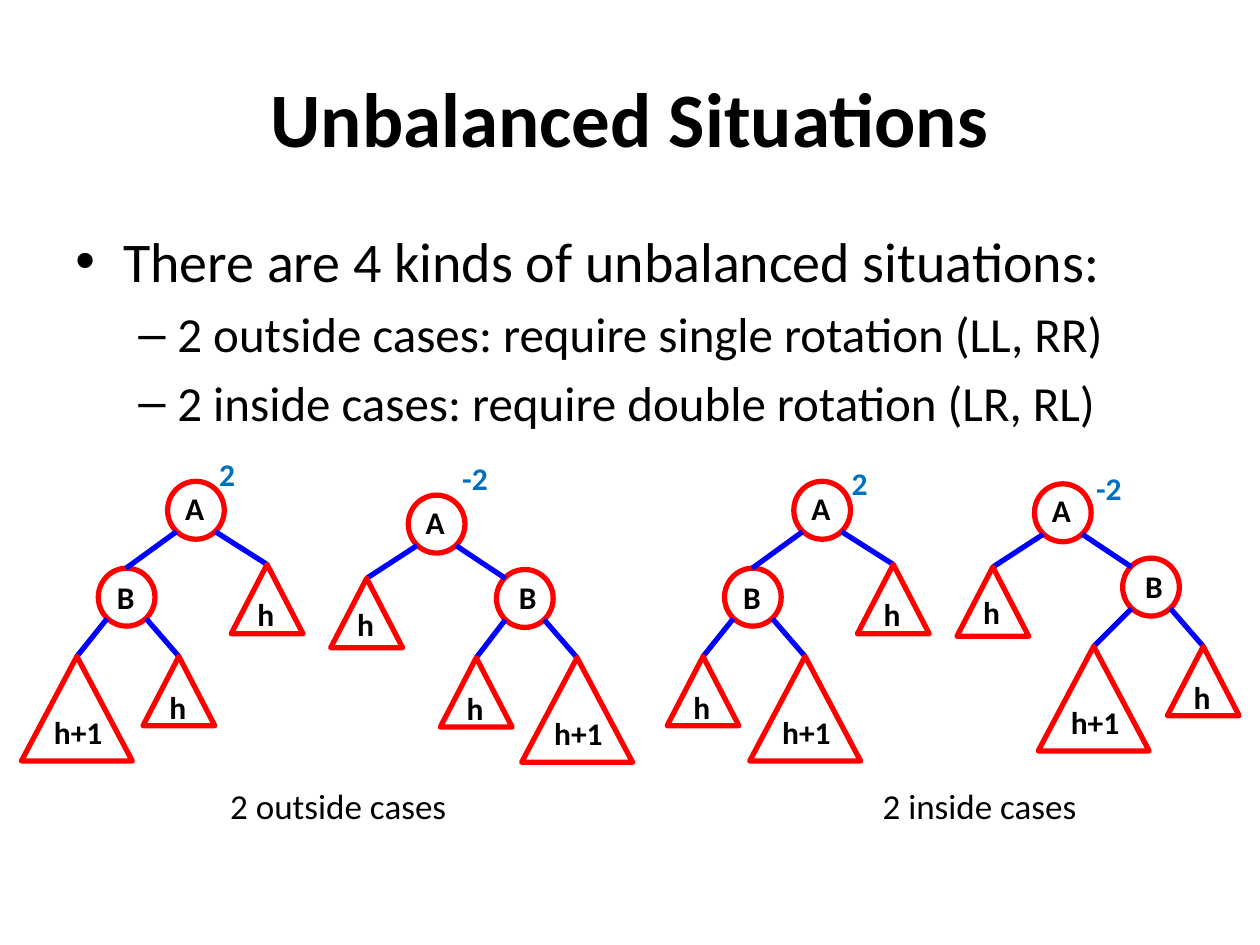
from dataclasses import dataclass

from lxml.etree import SubElement
from pptx import Presentation
from pptx.dml.color import RGBColor
from pptx.enum.shapes import MSO_CONNECTOR, MSO_SHAPE
from pptx.enum.text import MSO_ANCHOR, MSO_AUTO_SIZE, PP_ALIGN
from pptx.oxml.ns import qn
from pptx.util import Inches, Pt

BLACK, RED, BLUE, BALANCE_BLUE = "000000", "FF0000", "0000FF", "0070C0"
NODE = (0.45, 0.46)
SMALL, BIG = (0.57, 0.55), (0.88, 0.83)
EDGE_START = {"left": (0.07, 0.4), "right": (0.38, 0.4)}
LABEL = {"size": Pt(18), "bold": True}


@dataclass(frozen=True)
class Side:
    """Places measured from the root node, for trees heavy on one side."""
    child: tuple[float, float]
    child_edge_end: tuple[float, float]
    child_label: tuple[float, float]
    sibling_apex: tuple[float, float]
    sibling_label_drop: float
    sibling_edge: str
    child_edge: str


@dataclass(frozen=True)
class Tree:
    root: tuple[float, float]
    side: Side
    left_reach: float
    big_subtree: str
    balance: str
    balance_at: tuple[float, float]


@dataclass(frozen=True)
class Bullet:
    text: str
    level: int
    size: int
    mark: str
    margin: float
    indent: float


LEFT_HEAVY = Side((-0.55, 0.69), (0.22, 0), (0.05, -0.07), (0.79, 0.66), 0.09, "right", "left")
RIGHT_HEAVY = Side((0.7, 0.59), (0.07, 0.07), (0.08, -0.08), (-0.33, 0.66), 0.06, "left", "right")

TREES = [
    Tree((1.33, 3.82), LEFT_HEAVY, -0.17, "left", "2", (1.64, 3.46)),
    Tree((3.24, 3.93), RIGHT_HEAVY, -0.16, "right", "-2", (3.57, 3.49)),
    Tree((6.3, 3.82), LEFT_HEAVY, -0.17, "right", "2", (6.66, 3.53)),
    Tree((8.21, 3.84), RIGHT_HEAVY, -0.23, "left", "-2", (8.6, 3.57)),
]
BULLETS = [
    Bullet("There are 4 kinds of unbalanced situations:", 0, 32, "•", 0.38, -0.38),
    Bullet("2 outside cases: require single rotation (LL, RR)", 1, 28, "–", 0.81, -0.31),
    Bullet("2 inside cases: require double rotation (LR, RL)", 1, 28, "–", 0.81, -0.31),
]


def colour(value: str) -> RGBColor:
    return RGBColor.from_string(value)


def shift(point: tuple, offset: tuple) -> tuple:
    return point[0] + offset[0], point[1] + offset[1]


def set_font(run, values: dict, font_colour: str = BLACK) -> None:
    for name, value in {"name": "Calibri", **values}.items():
        setattr(run.font, name, value)
    run.font.color.rgb = colour(font_colour)


def add_text(shapes, text: str, at: tuple, size: tuple, font: dict,
             font_colour: str = BLACK, alignment=PP_ALIGN.LEFT, **frame_values):
    """Add a text box; label insets and growth are the usual frame values."""
    box = shapes.add_textbox(*map(Inches, (*at, *size)))
    frame_format = {"word_wrap": True, "margin_top": Inches(0.15), "margin_bottom": Inches(0.15),
                    "auto_size": MSO_AUTO_SIZE.SHAPE_TO_FIT_TEXT, **frame_values}
    for name, value in frame_format.items():
        setattr(box.text_frame, name, value)
    paragraph = box.text_frame.paragraphs[0]
    paragraph.alignment = alignment
    if text:
        run = paragraph.add_run()
        run.text = text
        set_font(run, font, font_colour)
    return box


def add_outline(shapes, kind, at: tuple, size: tuple) -> None:
    shape = shapes.add_shape(kind, *map(Inches, (*at, *size)))
    shape.shadow.inherit = False
    shape.fill.background()
    shape.line.color.rgb = colour(RED)
    shape.line.width = Pt(3)
    SubElement(shape.line._get_or_add_ln(), qn("a:round"))


def add_edge(shapes, start: tuple, end: tuple) -> None:
    edge = shapes.add_connector(MSO_CONNECTOR.STRAIGHT, *map(Inches, (*start, *end)))
    edge.line.color.rgb = colour(BLUE)
    edge.line.width = Pt(3)
    SubElement(edge._element.spPr, qn("a:effectLst"))


def add_node(shapes, name: str, at: tuple, label_offset: tuple, label_width: float) -> None:
    add_outline(shapes, MSO_SHAPE.OVAL, at, NODE)
    add_text(shapes, name, shift(at, label_offset), (label_width, 0.61), LABEL)


def add_subtree(shapes, apex: tuple, big: bool, label_drop: float) -> None:
    size = BIG if big else SMALL
    corner = shift(apex, (-size[0] / 2, 0))
    add_outline(shapes, MSO_SHAPE.ISOSCELES_TRIANGLE, corner, size)
    text, offset, width = ("h+1", (0.16, 0.3), 0.74) if big else ("h", (0.11, label_drop), 0.45)
    add_text(shapes, text, shift(corner, offset), (width, 0.61), LABEL)


def add_tree(slide, tree: Tree) -> None:
    shapes = slide.shapes.add_group_shape().shapes
    side = tree.side
    child = shift(tree.root, side.child)
    sibling_apex = shift(tree.root, side.sibling_apex)

    # Nodes and the edges below the root
    add_node(shapes, "A", tree.root, (0.04, -0.09), 0.45)
    add_node(shapes, "B", child, side.child_label, 0.32)
    add_edge(shapes, shift(tree.root, EDGE_START[side.child_edge]),
             shift(child, side.child_edge_end))
    add_edge(shapes, shift(tree.root, EDGE_START[side.sibling_edge]), sibling_apex)
    add_subtree(shapes, sibling_apex, False, side.sibling_label_drop)

    # Subtrees of the lower node
    for direction, reach in (("left", tree.left_reach), ("right", 0.64)):
        apex = shift(child, (reach, 0.7))
        add_edge(shapes, shift(child, EDGE_START[direction]), apex)
        add_subtree(shapes, apex, direction == tree.big_subtree, 0.1)


def add_bullets(slide) -> None:
    body = add_text(slide.shapes, "", (0.5, 1.75), (9, 4.95), {}, auto_size=MSO_AUTO_SIZE.NONE,
                    margin_top=Inches(0.05), margin_bottom=Inches(0.05))
    frame = body.text_frame
    for index, bullet in enumerate(BULLETS):
        paragraph = frame.add_paragraph() if index else frame.paragraphs[0]
        paragraph.level = bullet.level
        paragraph.space_before = Pt(bullet.size * 0.2)
        run = paragraph.add_run()
        run.text = bullet.text
        set_font(run, {"size": Pt(bullet.size)})
        properties = paragraph._p.get_or_add_pPr()
        properties.set("marL", str(Inches(bullet.margin)))
        properties.set("indent", str(Inches(bullet.indent)))
        SubElement(properties, qn("a:buFont"), typeface="Arial")
        SubElement(properties, qn("a:buChar"), char=bullet.mark)


presentation = Presentation()
presentation.slide_width, presentation.slide_height = Inches(10), Inches(7.5)
slide = presentation.slides.add_slide(presentation.slide_layouts[6])

# Title and bullets
add_text(slide.shapes, "Unbalanced Situations", (0.5, 0.3), (9, 1.25),
         {"size": Pt(44), "bold": True}, alignment=PP_ALIGN.CENTER,
         auto_size=MSO_AUTO_SIZE.NONE, vertical_anchor=MSO_ANCHOR.MIDDLE,
         margin_top=Inches(0.05), margin_bottom=Inches(0.05))
add_bullets(slide)

# Trees with their balance factors
for tree in TREES:
    add_tree(slide, tree)
    add_text(slide.shapes, tree.balance, tree.balance_at, (0.55, 0.61), LABEL, BALANCE_BLUE)

# Captions
for caption, left in (("2 outside cases", 1.2), ("2 inside cases", 6.29)):
    add_text(slide.shapes, caption, (left, 6.08), (2.97, 0.64), {"size": Pt(20)},
             alignment=PP_ALIGN.CENTER)

presentation.save("out.pptx")
